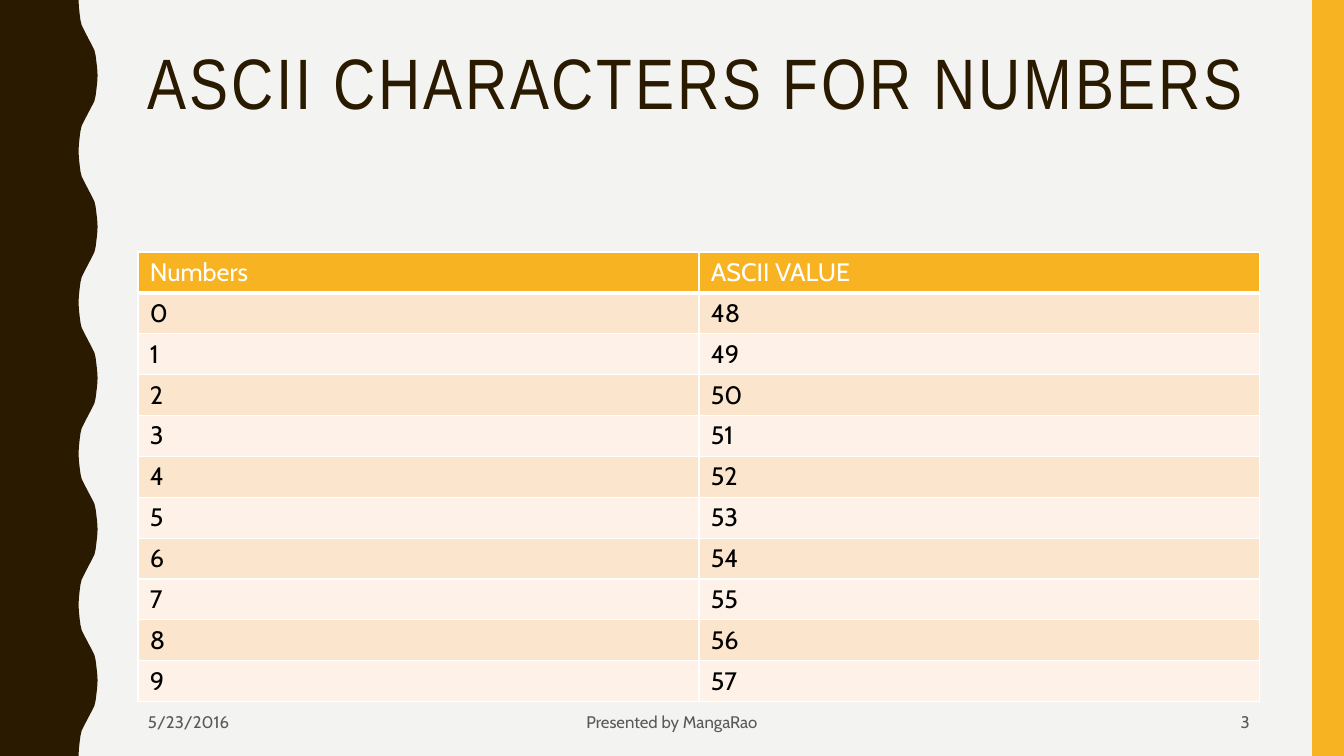
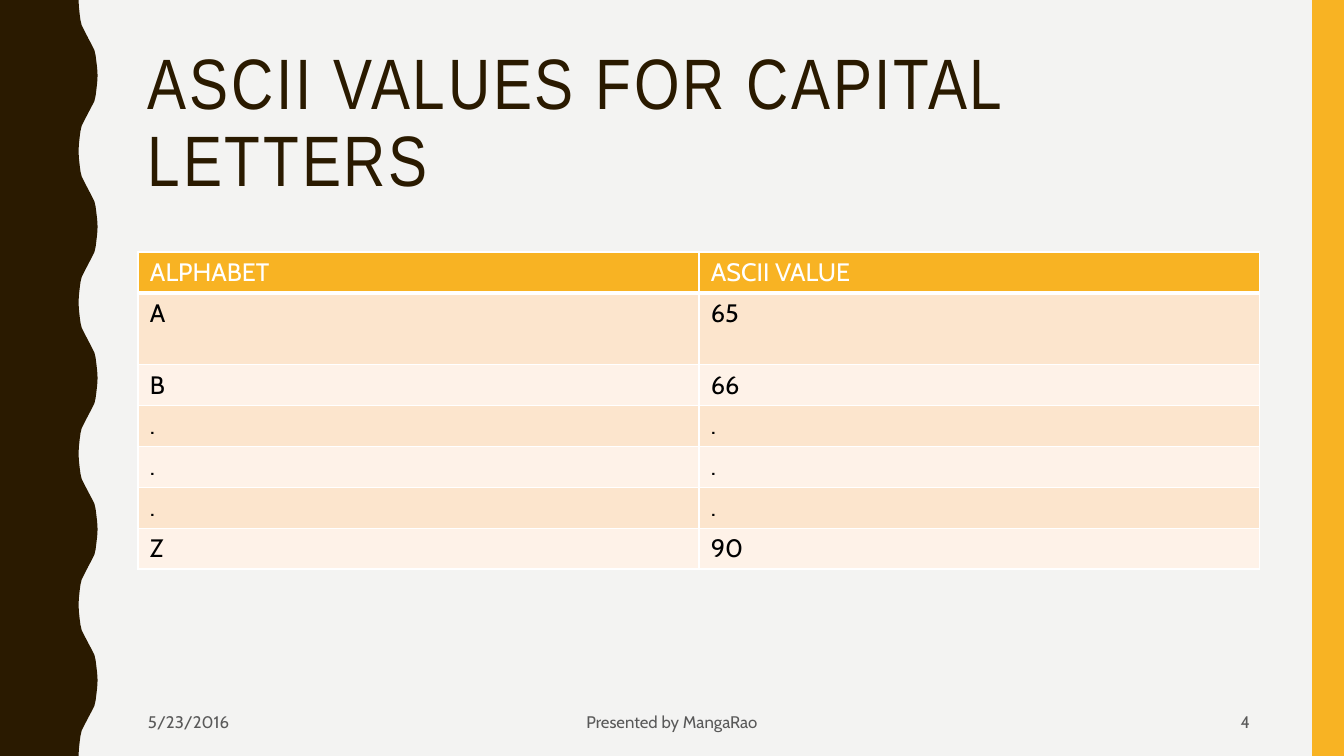
from lxml import etree
from pptx import Presentation
from pptx.dml.color import RGBColor
from pptx.enum.shapes import MSO_SHAPE
from pptx.enum.text import MSO_ANCHOR, PP_ALIGN
from pptx.oxml.ns import qn
from pptx.util import Cm, Pt

RECTANGLE = MSO_SHAPE.RECTANGLE
TOP, MIDDLE = MSO_ANCHOR.TOP, MSO_ANCHOR.MIDDLE
LEFT, CENTER, RIGHT = PP_ALIGN.LEFT, PP_ALIGN.CENTER, PP_ALIGN.RIGHT

COLORS = {
    "background": "F3F3F2",
    "brown": "2A1A00",
    "amber": "F8B323",
    "band_dark": "FCE5CD",
    "band_light": "FEF2E8",
    "white": "FFFFFF",
    "black": "000000",
    "gray": "595959",
}
TITLE_FONT, BODY_FONT = "Arial Narrow", "Cabin"
WIDTH, HEIGHT = 33.87, 19.05
MARGIN, CONTENT_WIDTH = 3.48, 28.27
ROW_HEIGHT = 1.03

WAVE_LEFT, WAVE_DEPTH, WAVE_COUNT = 1.98, 0.48, 5
WAVE_LENGTH = HEIGHT / WAVE_COUNT
QUARTER_WAVE = [(0, 0), (0.01, 0.18), (0.03, 0.36), (0.05, 0.51),
                (0.08, 0.64), (0.13, 0.74), (0.18, 0.84), (0.24, 0.95)]


def color(name):
    return RGBColor.from_string(COLORS[name])


def paint(fill, name):
    fill.solid()
    fill.fore_color.rgb = color(name)


def write(frame, text, size=18, font=BODY_FONT, ink="black",
          align=LEFT, line_spacing=None, tracking=None):
    paragraph = frame.paragraphs[0]
    paragraph.alignment = align
    paragraph.line_spacing = line_spacing
    run = paragraph.add_run()
    run.text = text
    run.font.size = Pt(size)
    run.font.name = font
    run.font.bold = False
    run.font.color.rgb = color(ink)
    if tracking:
        run._r.get_or_add_rPr().set("spc", str(tracking * 100))


def add_borders(cell, bottom):
    properties = cell._tc.get_or_add_tcPr()
    for side, points in (("L", 1), ("R", 1), ("T", 1), ("B", bottom)):
        line = etree.SubElement(properties, qn(f"a:ln{side}"), w=str(Pt(points)))
        fill = etree.SubElement(line, qn("a:solidFill"))
        etree.SubElement(fill, qn("a:srgbClr"), val=COLORS["white"])


def wave_points():
    half = QUARTER_WAVE + [(WAVE_DEPTH - x, WAVE_LENGTH / 2 - y)
                           for x, y in reversed(QUARTER_WAVE)]
    wave = half + [(x, WAVE_LENGTH - y) for x, y in reversed(half)]
    return [(WAVE_LEFT + x, y + index * WAVE_LENGTH)
            for index in range(WAVE_COUNT) for x, y in wave]


class Deck:
    def __init__(self):
        self.presentation = Presentation()
        self.presentation.slide_width = Cm(WIDTH)
        self.presentation.slide_height = Cm(HEIGHT)
        paint(self.presentation.slide_master.background.fill, "background")
        self.slide = None

    def add_slide(self, title, number):
        self.slide = self.presentation.slides.add_slide(
            self.presentation.slide_layouts[6])
        self.add_wave()
        self.add_band()
        self.add_text(title, MARGIN, 1.07, CONTENT_WIDTH, 4.14, size=51,
                      font=TITLE_FONT, ink="brown", line_spacing=0.9, tracking=2)
        for text, left, width, align in (
                ("5/23/2016", MARGIN, 6.48, LEFT),
                ("Presented by MangaRao", 11.22, 11.43, CENTER),
                (str(number), 23.93, 7.82, RIGHT)):
            self.add_text(text, left, 17.7, width, 0.97, anchor=MIDDLE,
                          size=12, ink="gray", align=align)

    def finish_shape(self, shape, name):
        paint(shape.fill, name)
        shape.line.fill.background()
        shape.shadow.inherit = False

    def add_wave(self):
        builder = self.slide.shapes.build_freeform(0, 0)
        outline = wave_points() + [(0, HEIGHT)]
        builder.add_line_segments([(Cm(x), Cm(y)) for x, y in outline], close=True)
        self.finish_shape(builder.convert_to_shape(), "brown")

    def add_band(self):
        band = self.slide.shapes.add_shape(
            RECTANGLE, Cm(33.07), 0, Cm(0.8), Cm(HEIGHT))
        self.finish_shape(band, "amber")

    def add_text(self, text, left, top, width, height, anchor=TOP, **style):
        box = self.slide.shapes.add_textbox(
            Cm(left), Cm(top), Cm(width), Cm(height))
        frame = box.text_frame
        frame.word_wrap = True
        frame.vertical_anchor = anchor
        write(frame, text, **style)

    def add_table(self, rows, tall_rows=None):
        heights = [ROW_HEIGHT] * len(rows)
        for index, height in (tall_rows or {}).items():
            heights[index] = height
        table = self.slide.shapes.add_table(
            len(rows), len(rows[0]), Cm(MARGIN), Cm(6.35),
            Cm(CONTENT_WIDTH), Cm(sum(heights))).table
        table.horz_banding = False
        for row_index, values in enumerate(rows):
            table.rows[row_index].height = Cm(heights[row_index])
            header = row_index == 0
            band = "band_dark" if row_index % 2 else "band_light"
            for column_index, text in enumerate(values):
                cell = table.cell(row_index, column_index)
                cell.margin_left = cell.margin_right = Cm(0.3)
                add_borders(cell, bottom=3 if header else 1)
                paint(cell.fill, "amber" if header else band)
                write(cell.text_frame, text, ink="white" if header else "black")


deck = Deck()

deck.add_slide("ASCII CHARACTERS FOR NUMBERS", 3)
deck.add_table([("Numbers", "ASCII VALUE")]
               + [(str(digit), str(ord(str(digit)))) for digit in range(10)])

deck.add_slide("ASCII VALUES FOR CAPITAL LETTERS", 4)
deck.add_table([("ALPHABET", "ASCII VALUE"), ("A", "65"), ("B", "66")]
               + [(".", ".")] * 3 + [("Z", "90")], tall_rows={1: 1.81})

deck.presentation.save("out.pptx")
